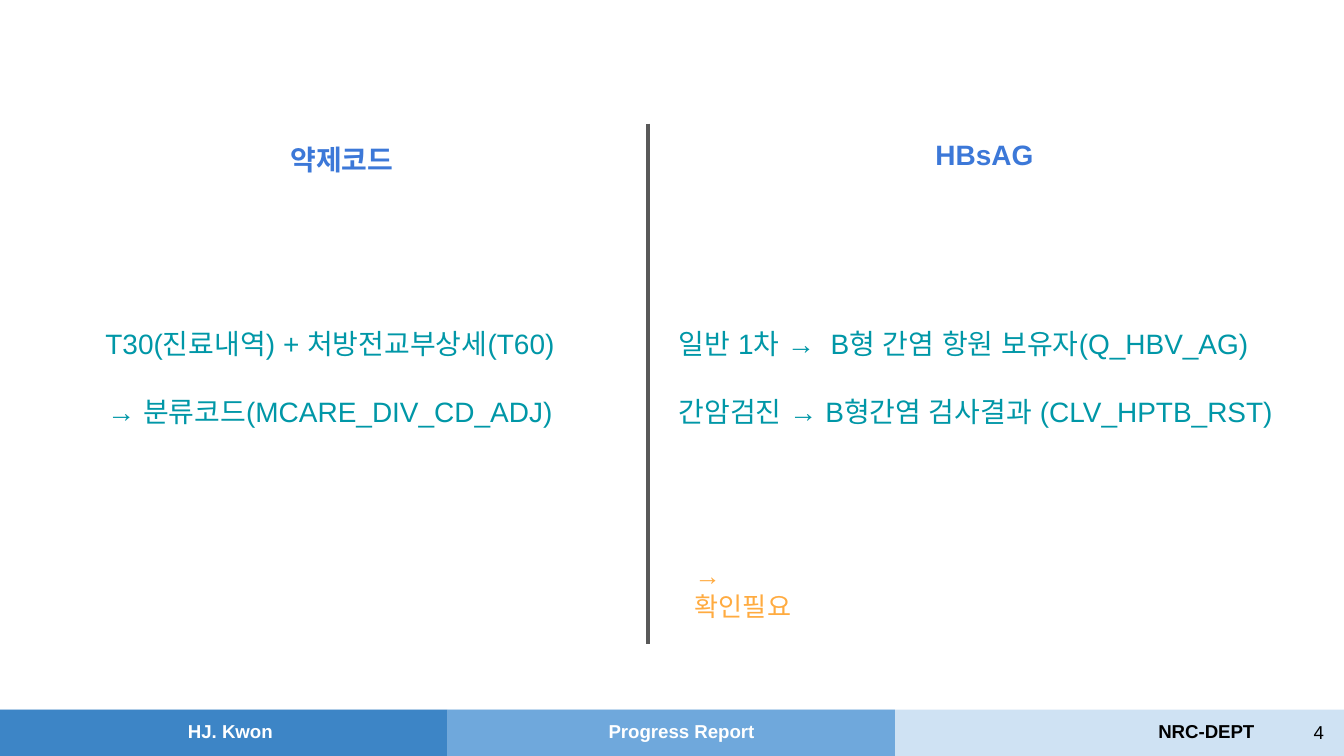
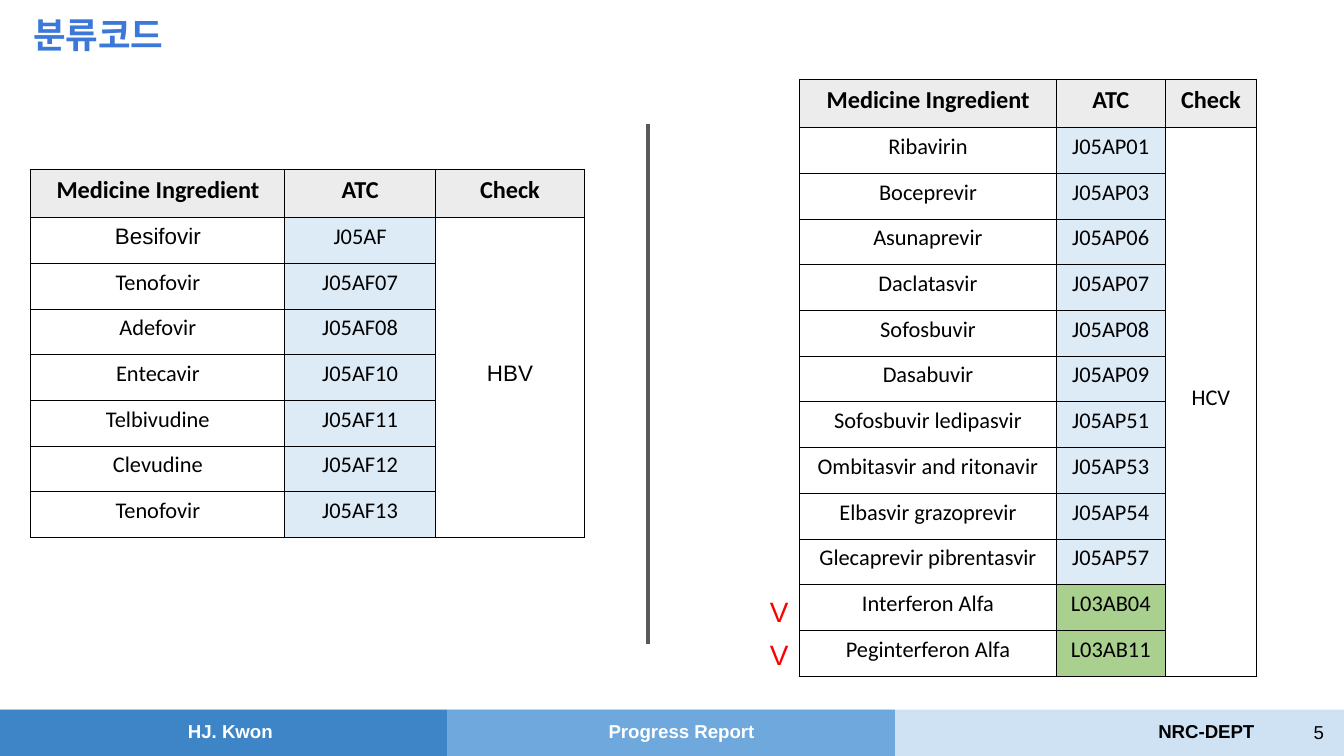
from lxml import etree
from pptx import Presentation
from pptx.dml.color import RGBColor
from pptx.enum.shapes import MSO_CONNECTOR, MSO_SHAPE
from pptx.enum.text import MSO_ANCHOR, MSO_AUTO_SIZE, PP_ALIGN
from pptx.oxml.ns import qn
from pptx.util import Inches, Pt

LEFT, CENTER, RIGHT = PP_ALIGN.LEFT, PP_ALIGN.CENTER, PP_ALIGN.RIGHT
TOP, MIDDLE = MSO_ANCHOR.TOP, MSO_ANCHOR.MIDDLE
FIT_SHAPE, FIT_NONE = MSO_AUTO_SIZE.SHAPE_TO_FIT_TEXT, MSO_AUTO_SIZE.NONE
RECTANGLE = MSO_SHAPE.RECTANGLE
STRAIGHT = MSO_CONNECTOR.STRAIGHT

COLORS = {
    "black": "000000",
    "white": "FFFFFF",
    "heading": "3C78D8",
    "body": "0097A7",
    "note": "FFAB40",
    "mark": "FF0000",
    "divider": "595959",
    "band_dark": "3D85C6",
    "band_mid": "6FA8DC",
    "band_light": "CFE2F3",
    "table_head": "ECECEC",
    "code": "DDEBF7",
    "code_marked": "A9D08E",
}

BANDS = [
    ("band_light", 0, 10),
    ("band_mid", 3.33, 3.33),
    ("band_dark", 0, 3.33),
]
FOOTERS = [
    ("NRC-DEPT", 8.52, 1, "black"),
    ("HJ. Kwon", 1.3, 1.29, "white"),
    ("Progress Report", 4.43, 1.29, "white"),
]

TABLE_HEADER = ["Medicine Ingredient", "ATC", "Check"]
HBV_MEDICINES = [
    ("Besifovir", "J05AF"),
    ("Tenofovir", "J05AF07"),
    ("Adefovir", "J05AF08"),
    ("Entecavir", "J05AF10"),
    ("Telbivudine", "J05AF11"),
    ("Clevudine", "J05AF12"),
    ("Tenofovir", "J05AF13"),
]
HCV_MEDICINES = [
    ("Ribavirin", "J05AP01"),
    ("Boceprevir", "J05AP03"),
    ("Asunaprevir", "J05AP06"),
    ("Daclatasvir", "J05AP07"),
    ("Sofosbuvir", "J05AP08"),
    ("Dasabuvir", "J05AP09"),
    ("Sofosbuvir ledipasvir", "J05AP51"),
    ("Ombitasvir and ritonavir", "J05AP53"),
    ("Elbasvir grazoprevir", "J05AP54"),
    ("Glecaprevir pibrentasvir", "J05AP57"),
    ("Interferon Alfa", "L03AB04"),
    ("Peginterferon Alfa", "L03AB11"),
]


def rgb(name):
    return RGBColor.from_string(COLORS[name])


def apply_format(target, values):
    for name, value in values.items():
        setattr(target, name, value)


def place(shape, left, top, width, height):
    box = {"left": left, "top": top, "width": width, "height": height}
    apply_format(shape, {name: Inches(value) for name, value in box.items()})


def format_font(run, size, color, bold=False, font="Arial"):
    apply_format(run.font, {"name": font, "size": Pt(size), "bold": bold})
    run.font.color.rgb = rgb(color)
    properties = run._r.get_or_add_rPr()
    for script in ("ea", "cs"):
        etree.SubElement(properties, qn(f"a:{script}"), typeface=font)


def write_text(shape, lines, size, color, bold=False, align=LEFT, anchor=TOP,
               fit=FIT_SHAPE, gap=0, indent=0):
    frame = shape.text_frame
    margins = ("margin_left", "margin_top", "margin_right", "margin_bottom")
    apply_format(frame, dict.fromkeys(margins, Inches(0.1)))
    apply_format(frame, {"word_wrap": True, "vertical_anchor": anchor, "auto_size": fit})
    for index, line in enumerate(lines):
        paragraph = frame.add_paragraph() if index else frame.paragraphs[0]
        apply_format(paragraph, {
            "alignment": align,
            "line_spacing": 1.0,
            "space_before": Pt(gap if index else 0),
            "space_after": Pt(0),
        })
        run = paragraph.add_run()
        run.text = line
        format_font(run, size, color, bold)
        if shape.is_placeholder:
            properties = paragraph._p.get_or_add_pPr()
            properties.set("marL", str(Inches(indent)))
            properties.set("indent", "0")
            etree.SubElement(properties, qn("a:buNone"))


def add_text(slide, box, text, size, color, **options):
    shape = slide.shapes.add_textbox(*map(Inches, box))
    write_text(shape, [text], size, color, **options)


def fill_placeholder(slide, index, box, lines, size, color, **options):
    shape = slide.placeholders[index]
    place(shape, *box)
    write_text(shape, lines, size, color, **options)


def add_band(slide, color, left, width):
    box = (left, 5.28, width, 0.35)
    shape = slide.shapes.add_shape(RECTANGLE, *map(Inches, box))
    shape.shadow.inherit = False
    shape.fill.solid()
    shape.fill.fore_color.rgb = rgb(color)
    shape.line.fill.background()


def add_divider(slide):
    ends = (4.82, 0.92, 4.82, 4.79)
    connector = slide.shapes.add_connector(STRAIGHT, *map(Inches, ends))
    connector.line.color.rgb = rgb("divider")
    connector.line.width = Pt(2.25)
    etree.SubElement(connector._element.spPr, qn("a:effectLst"))


def add_frame(slide, number):
    for color, left, width in BANDS:
        add_band(slide, color, left, width)
    add_text(slide, (9.35, 5.23, 0.6, 0.43), str(number), 10, "black",
             align=RIGHT, anchor=MIDDLE, fit=FIT_NONE)
    for text, left, width, color in FOOTERS:
        add_text(slide, (left, 5.27, width, 0.37), text, 10, color, bold=True)
    add_divider(slide)


def add_borders(cell):
    properties = cell._tc.get_or_add_tcPr()
    for position, side in enumerate(("lnL", "lnR", "lnT", "lnB")):
        line = etree.Element(qn(f"a:{side}"), w=str(Pt(0.5)))
        fill = etree.SubElement(line, qn("a:solidFill"))
        etree.SubElement(fill, qn("a:srgbClr"), val=COLORS["black"])
        properties.insert(position, line)


def format_cell(cell, fill=None):
    apply_format(cell, {
        "margin_left": Inches(0.01),
        "margin_top": Inches(0.01),
        "margin_right": Inches(0.01),
        "margin_bottom": Inches(0.1),
        "vertical_anchor": MIDDLE,
    })
    if fill:
        cell.fill.solid()
        cell.fill.fore_color.rgb = rgb(fill)
    else:
        cell.fill.background()
    add_borders(cell)


def write_cell(cell, text, size=12, bold=False, font="Calibri"):
    paragraph = cell.text_frame.paragraphs[0]
    apply_format(paragraph, {"alignment": CENTER, "line_spacing": 1.15})
    run = paragraph.add_run()
    run.text = text
    format_font(run, size, "black", bold, font)


def add_medicine_table(slide, left, top, widths, medicines, check, arial_texts=()):
    row_count = len(medicines) + 1
    box = (left, top, sum(widths), 0.25 * row_count)
    table = slide.shapes.add_table(row_count, len(widths), *map(Inches, box)).table
    apply_format(table, {"first_row": False, "horz_banding": False})
    for column, width in zip(table.columns, widths):
        column.width = Inches(width)
    for column, text in enumerate(TABLE_HEADER):
        cell = table.cell(0, column)
        format_cell(cell, "table_head")
        write_cell(cell, text, size=13, bold=True)
    for row, (ingredient, code) in enumerate(medicines, 1):
        code_fill = "code_marked" if code.startswith("L") else "code"
        for column, fill in enumerate((None, code_fill, None)):
            format_cell(table.cell(row, column), fill)
        for column, text in enumerate((ingredient, code)):
            font = "Arial" if text in arial_texts else "Calibri"
            write_cell(table.cell(row, column), text, font=font)
    check_cell = table.cell(1, 2)
    check_cell.merge(table.cell(row_count - 1, 2))
    write_cell(check_cell, check, font="Arial" if check in arial_texts else "Calibri")


def build_source_slide(presentation):
    slide = presentation.slides.add_slide(presentation.slide_layouts[4])
    title = slide.shapes.title._element
    title.getparent().remove(title)
    add_frame(slide, 4)
    heading = {"size": 15, "color": "heading", "bold": True, "align": CENTER}
    body = {"size": 15, "color": "body", "gap": 18.5}
    fill_placeholder(slide, 1, (0.47, 0.96, 4.15, 0.45), ["약제코드"], **heading)
    fill_placeholder(slide, 3, (5, 0.92, 4.15, 0.45), ["HBsAG"], indent=0.5, **heading)
    fill_placeholder(slide, 2, (0.18, 2.33, 4.55, 0.96), [
        "T30(진료내역) + 처방전교부상세(T60)",
        "→ 분류코드(MCARE_DIV_CD_ADJ)",
    ], align=CENTER, **body)
    fill_placeholder(slide, 4, (4.95, 2.33, 4.91, 0.96), [
        "일반 1차 →  B형 간염 항원 보유자(Q_HBV_AG)",
        "간암검진 → B형간염 검사결과 (CLV_HPTB_RST)",
    ], **body)
    add_text(slide, (5.07, 4.06, 1.21, 0.44), "→  확인필요", 14, "note")


def build_code_slide(presentation):
    slide = presentation.slides.add_slide(presentation.slide_layouts[5])
    add_frame(slide, 5)
    fill_placeholder(slide, 0, (0, 0, 1.46, 0.52), ["분류코드"], 19, "heading",
                     bold=True, align=CENTER)
    add_medicine_table(slide, 0.23, 1.26, (1.89, 1.12, 1.11), HBV_MEDICINES, "HBV",
                       arial_texts=("Besifovir", "HBV"))
    add_medicine_table(slide, 5.95, 0.59, (1.91, 0.81, 0.68), HCV_MEDICINES, "HCV")
    for top in (4.32, 4.64):
        add_text(slide, (5.63, top, 0.33, 0.45), "V", 15, "mark")


def main():
    presentation = Presentation()
    presentation.slide_width = Inches(10)
    presentation.slide_height = presentation.slide_width * 9 // 16
    build_source_slide(presentation)
    build_code_slide(presentation)
    presentation.save("out.pptx")


if __name__ == "__main__":
    main()
